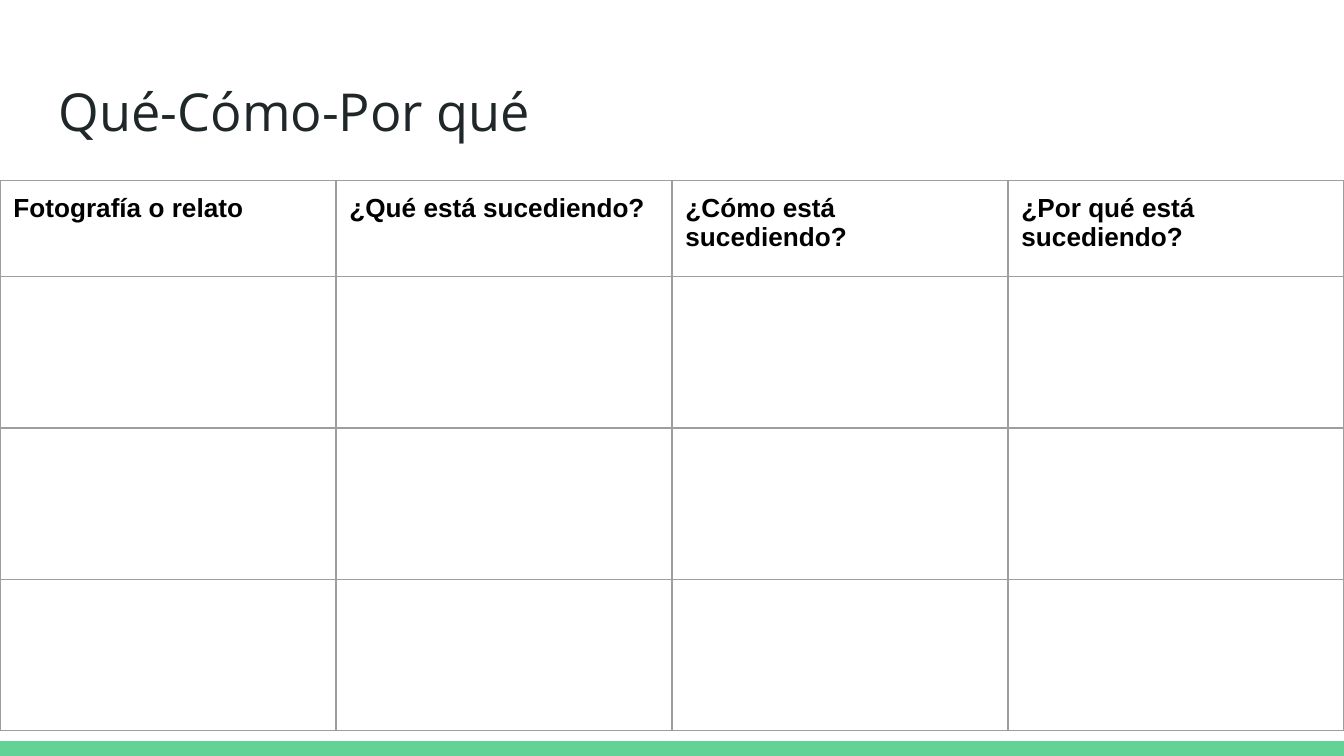
from lxml.etree import SubElement
from pptx import Presentation
from pptx.dml.color import RGBColor
from pptx.enum.shapes import MSO_SHAPE
from pptx.enum.text import MSO_ANCHOR
from pptx.oxml.ns import qn
from pptx.util import Inches, Pt

WIDE = 10
HIGH = WIDE * 9 / 16
HEADS = ["Fotografía o relato", "¿Qué está sucediendo?",
         "¿Cómo está sucediendo?", "¿Por qué está sucediendo?"]


def color(code):
    """Turn a hex string into a colour."""
    return RGBColor.from_string(code)


def write(frame, text, size=14, font="Arial", fill="000000", bold=False):
    """Put formatted text in a frame."""
    run = frame.paragraphs[0].add_run()
    run.text = text
    run.font.size = Pt(size)
    run.font.name = font
    run.font.bold = bold
    run.font.color.rgb = color(fill)


def pad(part, gap=0.1):
    """Set equal margins on a frame or cell."""
    part.margin_left = part.margin_right = Inches(gap)
    part.margin_top = part.margin_bottom = Inches(gap)


def border(cell, code, width):
    """Draw the four edges of a cell."""
    props = cell._tc.get_or_add_tcPr()
    for place, side in enumerate(("lnL", "lnR", "lnT", "lnB")):
        line = SubElement(props, qn(f"a:{side}"), w=str(Pt(width)))
        solid = SubElement(line, qn("a:solidFill"))
        SubElement(solid, qn("a:srgbClr"), val=code)
        props.insert(place, line)


def footer(slide, x, y, w, h):
    """Add the green band."""
    band = slide.shapes.add_shape(MSO_SHAPE.RECTANGLE, Inches(x), Inches(y),
                                  Inches(w), Inches(h))
    band.shadow.inherit = False
    band.fill.solid()
    band.fill.fore_color.rgb = color("63D297")
    band.line.fill.background()


def title(slide, x, y, w, h):
    """Add the slide title."""
    box = slide.shapes.add_textbox(Inches(x), Inches(y), Inches(w), Inches(h))
    frame = box.text_frame
    frame.word_wrap = True
    frame.vertical_anchor = MSO_ANCHOR.TOP
    pad(frame)
    write(frame, "Qué-Cómo-Por qué", size=28, font="Open Sans", fill="202729")


def grid(slide, x, y, w, heights):
    """Add the table with its heads and empty rows."""
    shape = slide.shapes.add_table(len(heights), len(HEADS), Inches(x), Inches(y),
                                   Inches(w), Inches(sum(heights)))
    table = shape.table
    table.first_row = table.horz_banding = False
    for col in table.columns:
        col.width = Inches(w / len(HEADS))
    for row, height in zip(table.rows, heights):
        row.height = Inches(height)
    for cell in table.iter_cells():
        pad(cell)
        cell.fill.background()
        border(cell, "9E9E9E", 0.75)
    for cell, head in zip(table.rows[0].cells, HEADS):
        write(cell.text_frame, head, bold=True)


def main():
    """Build and save the slide."""
    deck = Presentation()
    deck.slide_width, deck.slide_height = Inches(WIDE), Inches(HIGH)
    slide = deck.slides.add_slide(deck.slide_layouts[6])
    footer(slide, 0, HIGH - 0.11, WIDE, 0.11)
    title(slide, 0.34, 0.49, 9.32, 0.63)
    grid(slide, 0, 1.34, WIDE, [0.72] + [9 / 8] * 3)
    deck.save("out.pptx")


if __name__ == "__main__":
    main()
